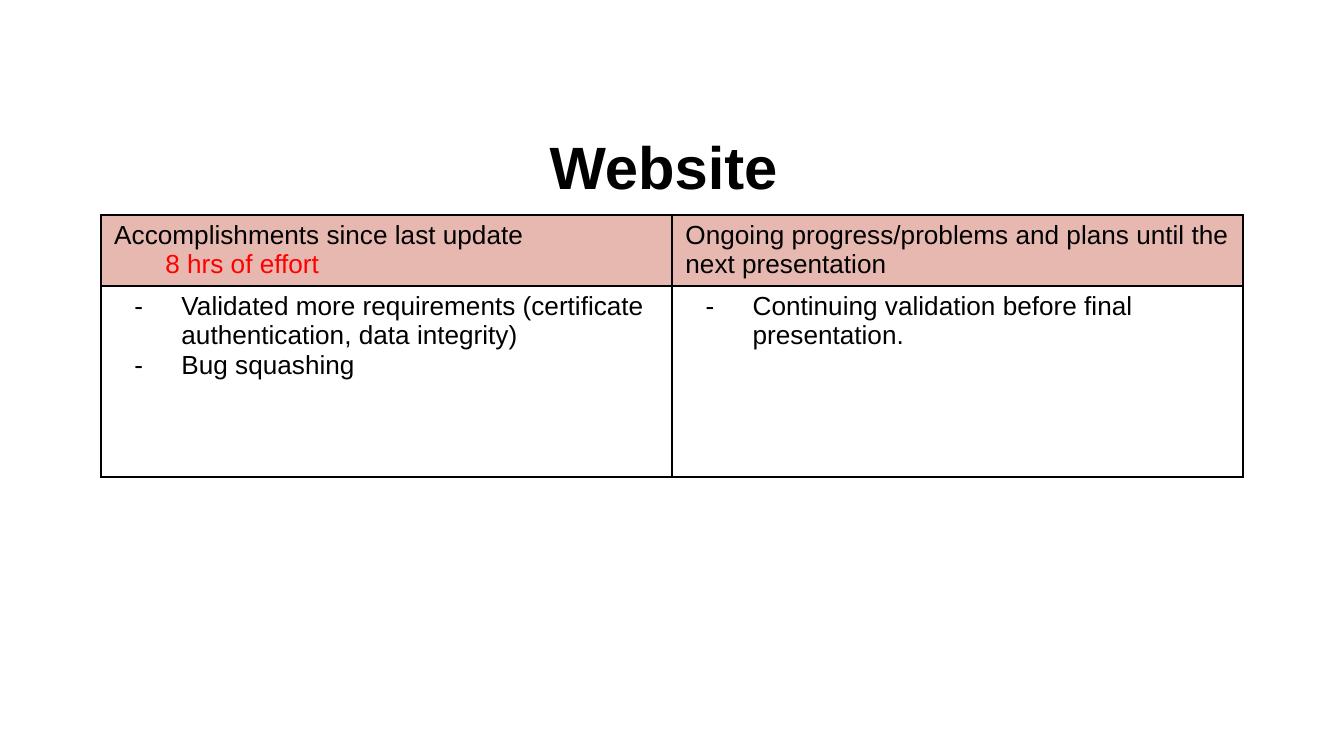
"""Build the website status slide with its two-column progress table."""
from dataclasses import dataclass

import pptx
import pptx.dml.color
import pptx.enum.text
import pptx.oxml
import pptx.oxml.ns
import pptx.util

Inches = pptx.util.Inches


@dataclass(frozen=True)
class Theme:
    """Colours and type sizes of the slide."""
    font: str = "Arial"
    ink: str = "000000"
    accent: str = "FF0000"
    header: str = "E6B8AF"
    title_size: int = 32
    body_size: int = 14
    border: float = 1


@dataclass(frozen=True)
class Line:
    """One paragraph of a table cell."""
    text: str
    color: str
    left: float = 0
    hanging: float = 0
    bullet: str = ""


THEME = Theme()


def item(text: str) -> Line:
    """Return a dashed list line."""
    return Line(text, THEME.ink, left=0.5, hanging=0.35, bullet="-")


HEADERS = [
    [Line("Accomplishments since last update", THEME.ink),
     Line("8 hrs of effort", THEME.accent, left=0.38)],
    [Line("Ongoing progress/problems and plans until the next presentation", THEME.ink)],
]
ITEMS = [
    [item("Validated more requirements (certificate authentication, data integrity)"),
     item("Bug squashing")],
    [item("Continuing validation before final presentation.")],
]


def add_text(para, text: str, *, size: float, color: str, bold: bool = False) -> None:
    """Add one formatted span to a paragraph."""
    span = para.add_run()
    span.text = text
    span.font.name = THEME.font
    span.font.size = pptx.util.Pt(size)
    span.font.bold = bold
    span.font.color.rgb = pptx.dml.color.RGBColor.from_string(color)


def set_indent(para, line: Line) -> None:
    """Set the indent of a paragraph and its bullet, if any."""
    properties = para._p.get_or_add_pPr()
    properties.set("marL", str(Inches(line.left)))
    properties.set("indent", str(Inches(-line.hanging)))
    if line.bullet:
        namespace = pptx.oxml.ns.nsdecls("a")
        for xml in (
            f'<a:buClr {namespace}><a:srgbClr val="{THEME.ink}"/></a:buClr>',
            f'<a:buFont {namespace} typeface="{THEME.font}"/>',
            f'<a:buChar {namespace} char="{line.bullet}"/>',
        ):
            properties.append(pptx.oxml.parse_xml(xml))


def set_borders(cell) -> None:
    """Draw a solid line on every side of a cell."""
    properties = cell._tc.get_or_add_tcPr()
    for side in ("lnL", "lnR", "lnT", "lnB"):
        properties.append(pptx.oxml.parse_xml(
            f'<a:{side} {pptx.oxml.ns.nsdecls("a")} w="{pptx.util.Pt(THEME.border)}">'
            f'<a:solidFill><a:srgbClr val="{THEME.ink}"/></a:solidFill></a:{side}>'))


def fill_cell(cell, lines: list[Line], fill: str | None) -> None:
    """Format a cell and write its lines."""
    set_borders(cell)
    if fill:
        cell.fill.solid()
        cell.fill.fore_color.rgb = pptx.dml.color.RGBColor.from_string(fill)
    else:
        cell.fill.background()
    cell.margin_left = cell.margin_right = Inches(0.1)
    cell.margin_top = cell.margin_bottom = Inches(0.04)
    for index, line in enumerate(lines):
        para = cell.text_frame.paragraphs[0] if index == 0 else cell.text_frame.add_paragraph()
        set_indent(para, line)
        add_text(para, line.text, size=THEME.body_size, color=line.color)


def add_title(page, text: str) -> None:
    """Place and format the title placeholder."""
    box = page.shapes.title
    box.left, box.top, box.width, box.height = map(Inches, (0.5, 0.86, 9, 0.66))
    box.text_frame.vertical_anchor = pptx.enum.text.MSO_ANCHOR.MIDDLE
    para = box.text_frame.paragraphs[0]
    para.alignment = pptx.enum.text.PP_ALIGN.CENTER
    para.line_spacing = 1.15
    add_text(para, text, size=THEME.title_size, color=THEME.ink, bold=True)


def add_progress_table(page) -> None:
    """Add the table of accomplishments and plans."""
    column_width, heights = 4.25, (0.53, 1.42)
    table = page.shapes.add_table(
        2, 2, Inches(0.75), Inches(1.6), Inches(2 * column_width), Inches(sum(heights))).table
    table.first_row = table.horz_banding = False
    for column in table.columns:
        column.width = Inches(column_width)
    for row, height, contents, fill in zip(
            table.rows, heights, (HEADERS, ITEMS), (THEME.header, None)):
        row.height = Inches(height)
        for cell, lines in zip(row.cells, contents):
            fill_cell(cell, lines, fill)


def main() -> None:
    """Build and save the deck."""
    deck = pptx.Presentation()
    deck.slide_width = Inches(10)
    deck.slide_height = deck.slide_width * 9 // 16
    page = deck.slides.add_slide(deck.slide_layouts[5])
    add_title(page, "Website ")
    add_progress_table(page)
    deck.save("out.pptx")


if __name__ == "__main__":
    main()
